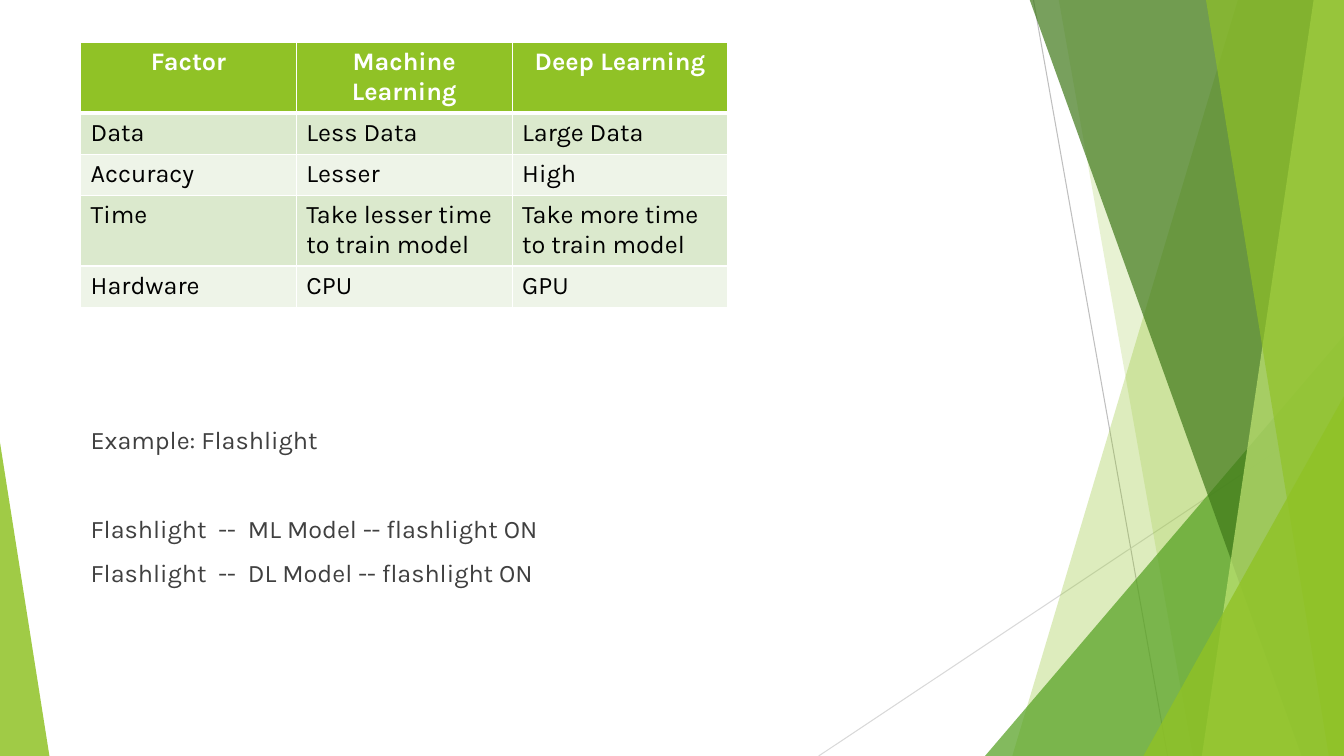
"""Build a slide that compares machine learning with deep learning."""
import dataclasses
import typing

import lxml.etree
import pptx
import pptx.dml.color
import pptx.enum.shapes
import pptx.enum.text
import pptx.oxml.ns
import pptx.slide
import pptx.util

PX = 9144
WIDE, HIGH = 1333, 750
MID = pptx.enum.text.PP_ALIGN.CENTER
qn = pptx.oxml.ns.qn


@dataclasses.dataclass(frozen=True)
class Theme:
    font: str = "Karla"
    size: int = 18
    lime: str = "90C226"
    pale: str = "C0E474"
    leaf: str = "54A021"
    pine: str = "3F7819"
    white: str = "FFFFFF"
    black: str = "000000"
    ink: str = "404040"
    gray: str = "BFBFBF"
    mist: str = "D9D9D9"
    bands: tuple[str, str] = ("DBE9CD", "EEF4E8")


THEME = Theme()


class Ray(typing.NamedTuple):
    start: tuple[int, int]
    end: tuple[int, int]
    color: str


class Wedge(typing.NamedTuple):
    top: int
    foot: int
    color: str
    alpha: int


class Peak(typing.NamedTuple):
    left: int
    top: int
    width: int
    tip: int
    color: str
    alpha: int


RAYS = [
    Ray((1025, 0), (1158, HIGH), THEME.gray),
    Ray((WIDE, 403), (812, HIGH), THEME.mist),
]
FACETS: list[Wedge | Peak] = [
    Wedge(1228, 1004, THEME.lime, 30),
    Wedge(1050, 1183, THEME.lime, 20),
    Peak(977, 333, 356, 1, THEME.leaf, 72),
    Wedge(1021, 1291, THEME.pine, 70),
    Wedge(1303, 1192, THEME.pale, 70),
    Wedge(1196, 1318, THEME.lime, 65),
    Peak(1134, 393, 199, 1, THEME.lime, 80),
    Peak(0, 439, 49, 0, THEME.lime, 85),
]
ROWS = [
    ("Factor", "Machine Learning", "Deep Learning"),
    ("Data", "Less Data", "Large Data"),
    ("Accuracy", "Lesser", "High"),
    ("Time", "Take lesser time to train model", "Take more time to train model"),
    ("Hardware", "CPU", "GPU"),
]
TALLS = (70, 41, 41, 70, 41)
NOTES = [
    ("Example: Flashlight", 0),
    ("Flashlight  --  ML Model -- flashlight ON", 42),
    ("Flashlight  --  DL Model -- flashlight ON", 10),
]


def rgb(color: str) -> pptx.dml.color.RGBColor:
    return pptx.dml.color.RGBColor.from_string(color)


def write(para, text: str, *, color: str, bold: bool = False,
          align=None, before: int = 0) -> None:
    run = para.add_run()
    run.text = text
    run.font.name = THEME.font
    run.font.size = pptx.util.Pt(THEME.size)
    run.font.bold = bold
    run.font.color.rgb = rgb(color)
    para.alignment = align
    para.space_before = pptx.util.Pt(before)


def draw_ray(slide: pptx.slide.Slide, ray: Ray) -> None:
    ends = [n * PX for n in ray.start + ray.end]
    line = slide.shapes.add_connector(
        pptx.enum.shapes.MSO_CONNECTOR.STRAIGHT, *ends)
    line.line.color.rgb = rgb(ray.color)
    line.line.width = pptx.util.Pt(0.75)
    lxml.etree.SubElement(line.element.spPr, qn("a:effectLst"))


def draw_facet(slide: pptx.slide.Slide, facet: Wedge | Peak) -> None:
    if isinstance(facet, Wedge):
        pen = slide.shapes.build_freeform(facet.top, -1, PX)
        pen.add_line_segments([(WIDE, -1), (WIDE, HIGH), (facet.foot, HIGH)])
        shape = pen.convert_to_shape()
    else:
        shape = slide.shapes.add_shape(
            pptx.enum.shapes.MSO_SHAPE.ISOSCELES_TRIANGLE,
            facet.left * PX, facet.top * PX,
            facet.width * PX, (HIGH - facet.top) * PX)
        shape.adjustments[0] = facet.tip
    shape.shadow.inherit = False
    shape.line.fill.background()
    shape.fill.solid()
    shape.fill.fore_color.rgb = rgb(facet.color)
    tint = next(shape.element.spPr.iter(qn("a:srgbClr")))
    lxml.etree.SubElement(tint, qn("a:alpha"), val=str(facet.alpha * 1000))


def edge(cell, side: str, width: int) -> None:
    line = lxml.etree.SubElement(
        cell._tc.get_or_add_tcPr(), qn(f"a:ln{side}"),
        w=str(pptx.util.Pt(width)))
    fill = lxml.etree.SubElement(line, qn("a:solidFill"))
    lxml.etree.SubElement(fill, qn("a:srgbClr"), val=THEME.white)


def draw_table(slide: pptx.slide.Slide) -> None:
    table = slide.shapes.add_table(
        len(ROWS), len(ROWS[0]), 80 * PX, 42 * PX,
        641 * PX, sum(TALLS) * PX).table
    table.horz_banding = False
    for col in table.columns:
        col.width = 214 * PX
    for r, (words, tall) in enumerate(zip(ROWS, TALLS)):
        table.rows[r].height = tall * PX
        head = r == 0
        for c, text in enumerate(words):
            cell = table.cell(r, c)
            for side in "LRTB" if head else "LRB":
                edge(cell, side, 3 if head and side == "B" else 1)
            cell.fill.solid()
            cell.fill.fore_color.rgb = rgb(
                THEME.lime if head else THEME.bands[(r - 1) % 2])
            write(cell.text_frame.paragraphs[0], text, bold=head,
                  color=THEME.white if head else THEME.black,
                  align=MID if head else None)


def draw_notes(slide: pptx.slide.Slide) -> None:
    frame = slide.shapes.add_textbox(
        80 * PX, 329 * PX, 923 * PX, 365 * PX).text_frame
    frame.word_wrap = True
    frame.margin_top = 92 * PX
    for i, (text, before) in enumerate(NOTES):
        para = frame.add_paragraph() if i else frame.paragraphs[0]
        write(para, text, color=THEME.ink, before=before)


def main() -> None:
    deck = pptx.Presentation()
    deck.slide_width, deck.slide_height = WIDE * PX, HIGH * PX
    slide = deck.slides.add_slide(deck.slide_layouts[6])
    for ray in RAYS:
        draw_ray(slide, ray)
    for facet in FACETS:
        draw_facet(slide, facet)
    draw_table(slide)
    draw_notes(slide)
    deck.save("out.pptx")


if __name__ == "__main__":
    main()
